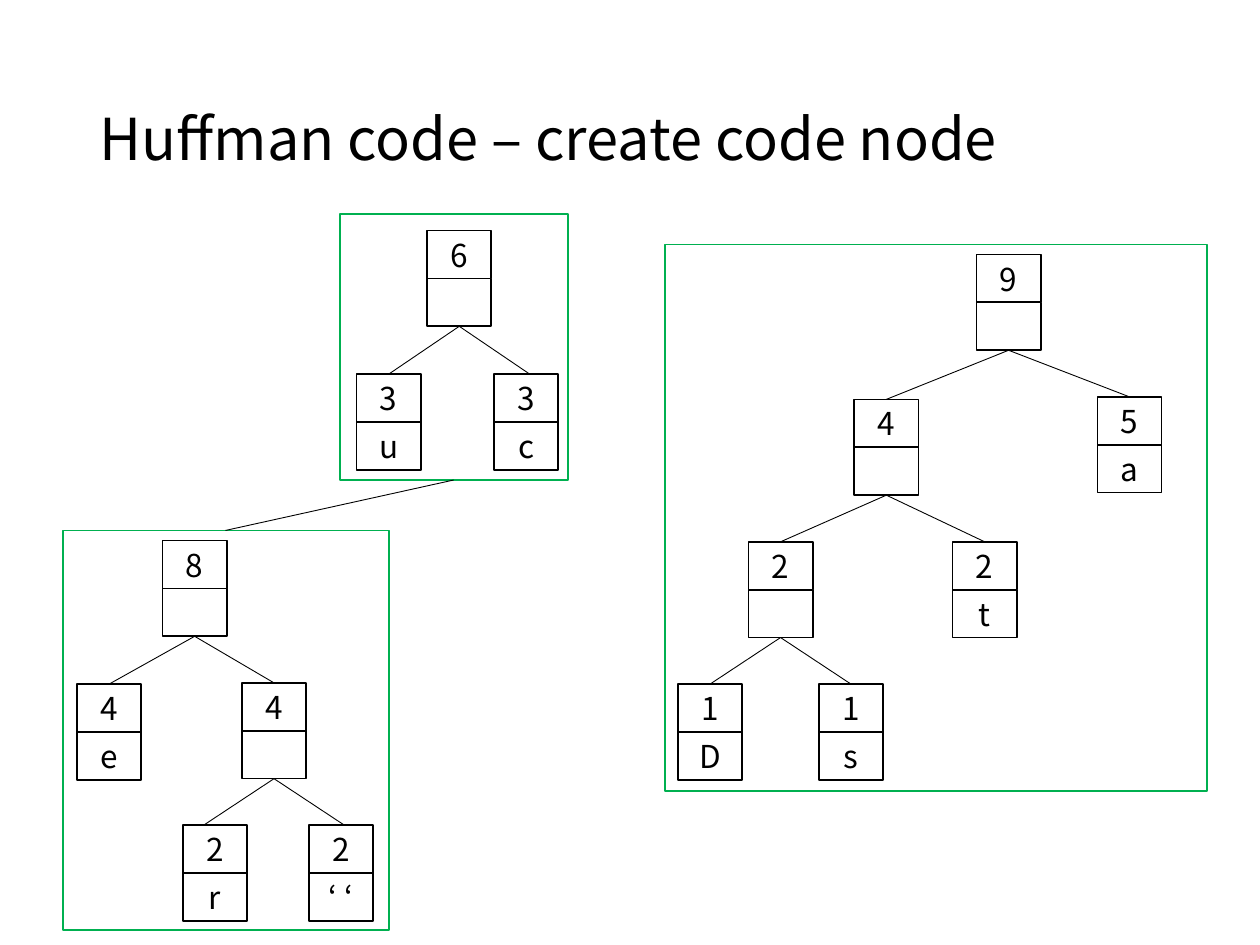
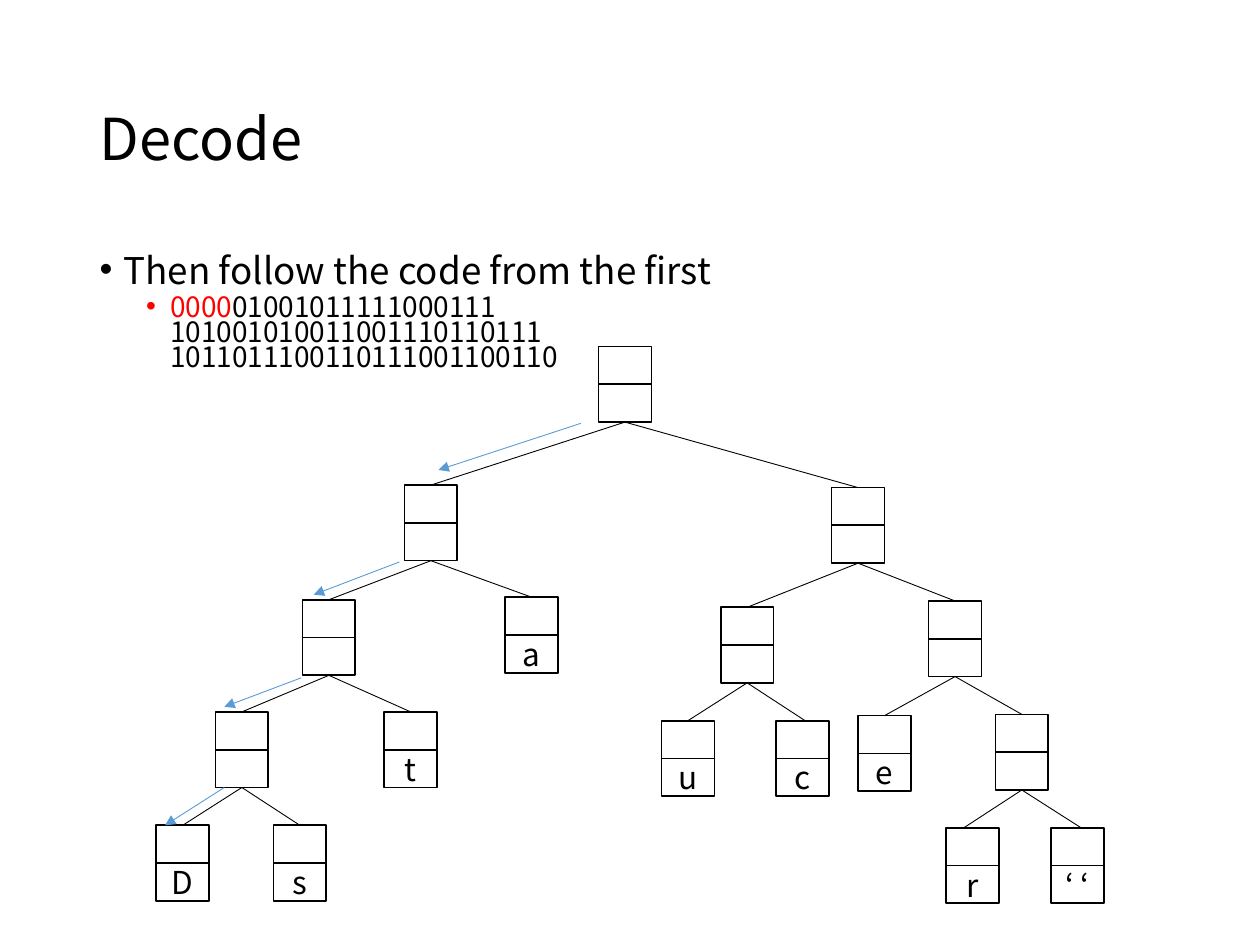
"""Build two slides on Huffman coding: merging code nodes and decoding with the tree."""
import copy

import pptx
import pptx.dml.color
import pptx.enum.shapes
import pptx.enum.text
import pptx.oxml
import pptx.oxml.ns
import pptx.util

Inches = pptx.util.Inches
Pt = pptx.util.Pt
qn = pptx.oxml.ns.qn
color = pptx.dml.color.RGBColor.from_string

FONT = "Noto Sans CJK KR"
BLACK, WHITE, RED, GREEN, BLUE = "000000", "FFFFFF", "FF0000", "00B050", "5B9BD5"


def add_box(shapes, left, top, width, height, fill, outline, text=""):
    box = shapes.add_shape(pptx.enum.shapes.MSO_SHAPE.RECTANGLE,
                           Inches(left), Inches(top), Inches(width), Inches(height))
    box.shadow.inherit = False
    if fill:
        box.fill.solid()
        box.fill.fore_color.rgb = color(fill)
    else:
        box.fill.background()
    box.line.color.rgb = color(outline)
    box.line.width = Pt(1)
    if text:
        frame = box.text_frame
        frame.margin_left = frame.margin_right = 0
        frame.margin_top = frame.margin_bottom = 0
        frame.word_wrap = False
        frame.vertical_anchor = pptx.enum.text.MSO_ANCHOR.MIDDLE
        para = frame.paragraphs[0]
        para.alignment = pptx.enum.text.PP_ALIGN.CENTER
        span = para.add_run()
        span.text = text
        span.font.name = FONT
        span.font.size = Pt(18)
        span.font.color.rgb = color(BLACK)


def add_line(shapes, start, end, stroke=BLACK, arrow=False):
    line = shapes.add_connector(pptx.enum.shapes.MSO_CONNECTOR.STRAIGHT,
                                Inches(start[0]), Inches(start[1]),
                                Inches(end[0]), Inches(end[1]))
    line.line.color.rgb = color(stroke)
    line.line.width = Pt(0.5)
    if arrow:
        head = pptx.oxml.parse_xml(
            f'<a:tailEnd {pptx.oxml.ns.nsdecls("a")} type="triangle"/>')
        line.line._get_or_add_ln().append(head)
    properties = line._element.spPr
    properties.append(properties.makeelement(qn("a:effectLst"), {}))


deck = pptx.Presentation()
deck.slide_width = Inches(10)
deck.slide_height = Inches(7.5)

pages = []
for layout, heading in [(5, "Huffman code – create code node"), (1, "Decode")]:
    page = deck.slides.add_slide(deck.slide_layouts[layout])
    title = page.shapes.title
    title.left, title.top = Inches(0.69), Inches(0.4)
    title.width, title.height = Inches(8.62), Inches(1.45)
    title.text_frame.auto_size = pptx.enum.text.MSO_AUTO_SIZE.NONE
    title.text_frame.vertical_anchor = pptx.enum.text.MSO_ANCHOR.MIDDLE
    para = title.text_frame.paragraphs[0]
    para.alignment = pptx.enum.text.PP_ALIGN.LEFT
    para.line_spacing = 0.9
    span = para.add_run()
    span.text = heading
    span.font.name = FONT
    span.font.size = Pt(33)
    span.font.color.rgb = color(BLACK)
    pages.append(page)
merge_page, decode_page = pages

body = decode_page.placeholders[1]
body.left, body.top = Inches(0.69), Inches(2)
body.width, body.height = Inches(8.62), Inches(4.76)
body.text_frame.auto_size = pptx.enum.text.MSO_AUTO_SIZE.NONE
bullets = [
    (0, 21, 0.19, 7.5, [("Then follow the code from the first", BLACK)]),
    (1, 16, 0.56, 3.8, [("0000", RED), ("01001011111000111", BLACK), None,
                        ("101001010011001110110111", BLACK), None,
                        ("1011011100110111001100110", BLACK)]),
]
for level, size, indent, before, pieces in bullets:
    para = body.text_frame.paragraphs[0] if level == 0 else body.text_frame.add_paragraph()
    para.level = level
    para.line_spacing = 0.74
    para.space_before = Pt(before)
    settings = para._p.get_or_add_pPr()
    settings.set("marL", str(Inches(indent)))
    settings.set("indent", str(Inches(-0.19)))
    settings.append(settings.makeelement(qn("a:buFont"), {"typeface": "Arial"}))
    settings.append(settings.makeelement(qn("a:buChar"), {"char": "•"}))
    for piece in pieces:
        if piece is None:
            para.add_line_break()
            para._p[-1].append(copy.deepcopy(span._r.rPr))
            continue
        span = para.add_run()
        span.text, tint = piece
        span.font.name = FONT
        span.font.size = Pt(size)
        span.font.color.rgb = color(tint)

# Each node: left, top, count, letter, index of its parent, sideways shift of its branch
trees = [
    (merge_page, 0.51, 0.38, (2.7, 1.7, 1.81, 2.11), [
        (3.39, 1.83, "6", "", None, 0),
        (2.83, 2.97, "3", "u", 0, 0),
        (3.92, 2.97, "3", "c", 0, 0.03),
    ]),
    (merge_page, 0.51, 0.38, (0.5, 4.21, 2.59, 3.17), [
        (1.29, 4.29, "8", "", None, 0),
        (0.61, 5.43, "4", "e", 0, 0),
        (1.92, 5.42, "4", "", 0, 0),
        (1.45, 6.55, "2", "r", 2, -0.09),
        (2.45, 6.55, "2", "‘ ‘", 2, 0.03),
    ]),
    (merge_page, 0.51, 0.38, (5.28, 1.94, 4.3, 4.34), [
        (7.75, 2.02, "9", "", None, 0),
        (6.78, 3.17, "4", "", 0, 0),
        (8.71, 3.15, "5", "a", 0, 0),
        (5.94, 4.3, "2", "", 1, 0),
        (7.56, 4.3, "2", "t", 1, 0),
        (5.38, 5.43, "1", "D", 3, 0),
        (6.5, 5.43, "1", "s", 3, 0),
    ]),
    (decode_page, 0.42, 0.3, None, [
        (4.75, 2.75, "", "", None, 0),
        (3.21, 3.85, "", "", 0, 0),
        (6.6, 3.87, "", "", 0, 0),
        (2.4, 4.76, "", "", 1, 0),
        (4.01, 4.74, "", "a", 1, 0),
        (5.72, 4.82, "", "", 2, 0),
        (7.37, 4.77, "", "", 2, 0),
        (1.71, 5.65, "", "", 3, 0),
        (3.05, 5.65, "", "t", 3, 0),
        (5.25, 5.72, "", "u", 5, 0),
        (6.16, 5.72, "", "c", 5, 0.02),
        (6.81, 5.68, "", "e", 6, 0),
        (7.9, 5.67, "", "", 6, 0),
        (1.24, 6.55, "", "D", 7, 0),
        (2.17, 6.55, "", "s", 7, 0),
        (7.51, 6.57, "", "r", 12, -0.07),
        (8.34, 6.57, "", "‘ ‘", 12, 0.03),
    ]),
]
for page, width, height, border, nodes in trees:
    tree = page.shapes.add_group_shape().shapes
    if border:
        add_box(tree, *border, None, GREEN)
    for left, top, count, letter, parent, shift in nodes:
        add_box(tree, left, top, width, height, WHITE, BLACK, count)
        add_box(tree, left, top + height, width, height, WHITE, BLACK, letter)
        if parent is not None:
            parent_left, parent_top = nodes[parent][:2]
            add_line(tree, (parent_left + width / 2, parent_top + 2 * height),
                     (left + width / 2 + shift, top))

add_line(merge_page.shapes, (3.6, 3.81), (1.79, 4.21))

steps = [
    ((4.61, 3.36), (3.48, 3.73)),
    ((3.17, 4.46), (2.49, 4.72)),
    ((2.39, 5.38), (1.78, 5.61)),
    ((1.78, 6.25), (1.31, 6.55)),
]
for start, end in steps:
    add_line(decode_page.shapes, start, end, BLUE, arrow=True)

for page in pages:
    for latin in list(page._element.iter(qn("a:latin"))):
        latin.addnext(latin.makeelement(qn("a:ea"), {"typeface": FONT}))

deck.save("out.pptx")
